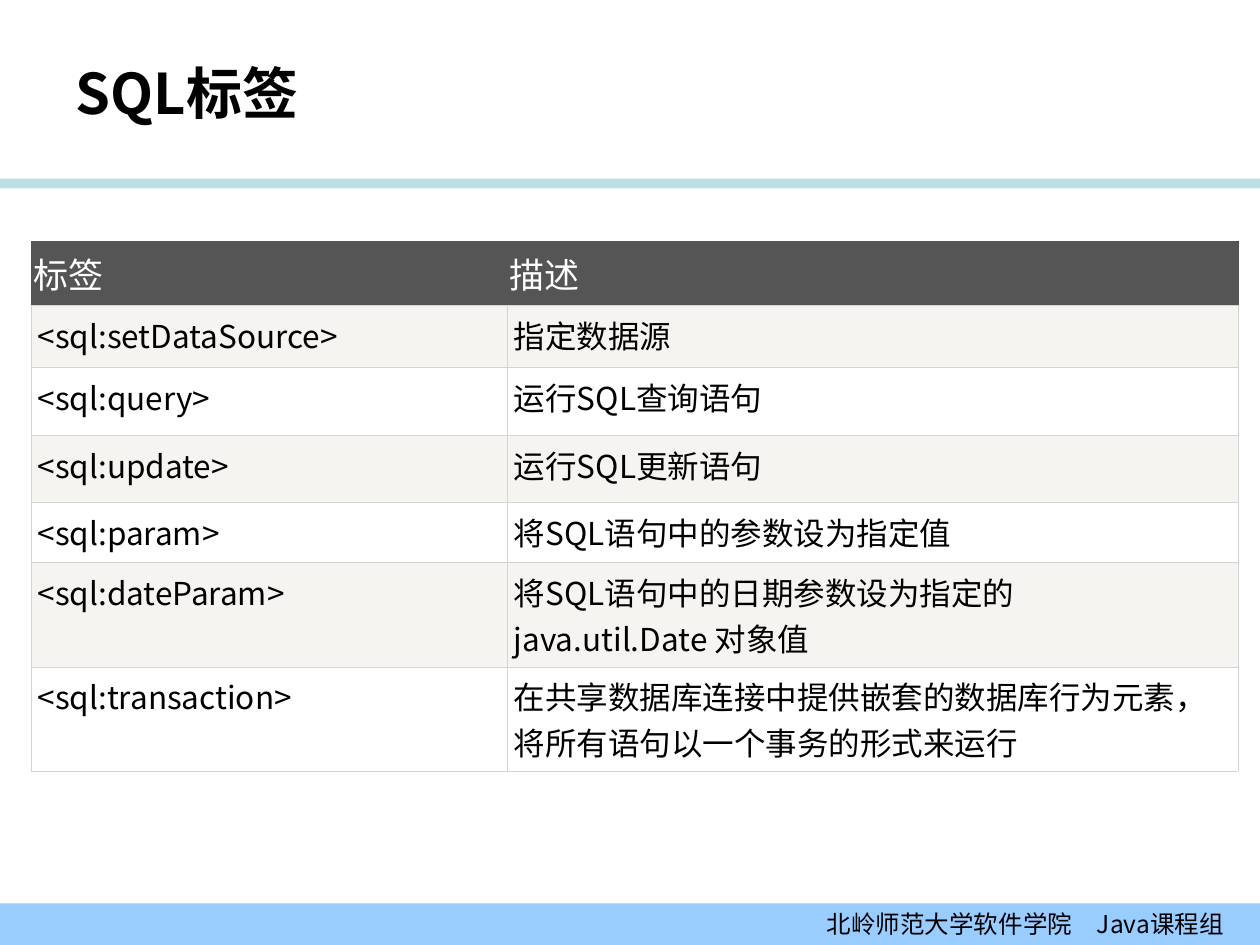
from typing import NamedTuple

from lxml.etree import SubElement
from pptx import Presentation
from pptx.dml.color import RGBColor
from pptx.enum.shapes import MSO_SHAPE as Preset
from pptx.enum.text import MSO_ANCHOR as Anchor, MSO_AUTO_SIZE as AutoSize, PP_ALIGN as Align
from pptx.oxml.ns import qn
from pptx.util import Cm, Pt

FONT = "Noto Sans CJK SC"
BLACK = RGBColor(0x00, 0x00, 0x00)
WHITE = RGBColor(0xFF, 0xFF, 0xFF)
DARK_GREY = RGBColor(0x55, 0x55, 0x55)
BORDER_GREY = RGBColor(0xD4, 0xD4, 0xD4)
WARM_GREY = RGBColor(0xF6, 0xF4, 0xF0)
TEAL = RGBColor(0xBB, 0xE0, 0xE3)
LIGHT_BLUE = RGBColor(0x99, 0xCC, 0xFF)
SLIDE_WIDTH, SLIDE_HEIGHT = Cm(25.4), Cm(19.05)
COLUMN_WIDTHS = (Cm(9.6), Cm(14.73))


class TagRow(NamedTuple):
    """One row of the tag table."""
    tag: str
    description: str
    height: Cm


class CellStyle(NamedTuple):
    """Look of the cells in one row."""
    fill: RGBColor
    text: RGBColor
    size: int
    side_margin: Cm
    edges: dict[str, RGBColor]


ROWS = (
    TagRow("标签", "描述", Cm(1.04)),
    TagRow("<sql:setDataSource>", "指定数据源", Cm(1.25)),
    TagRow("<sql:query>", "运行SQL查询语句", Cm(1.38)),
    TagRow("<sql:update>", "运行SQL更新语句", Cm(1.34)),
    TagRow("<sql:param>", "将SQL语句中的参数设为指定值", Cm(1.22)),
    TagRow("<sql:dateParam>", "将SQL语句中的日期参数设为指定的java.util.Date\u00a0对象值", Cm(1.9)),
    TagRow("<sql:transaction>",
           "在共享数据库连接中提供嵌套的数据库行为元素，将所有语句以一个事务的形式来运行", Cm(1.9)),
)
BODY_EDGES = dict.fromkeys(("a:lnL", "a:lnR", "a:lnT", "a:lnB"), BORDER_GREY)
HEADER_EDGES = dict.fromkeys(BODY_EDGES, DARK_GREY) | {"a:lnB": BORDER_GREY}
HEADER = CellStyle(DARK_GREY, WHITE, 20, Cm(0.05), HEADER_EDGES)
ODD = CellStyle(WARM_GREY, BLACK, 18, Cm(0.13), BODY_EDGES)
EVEN = CellStyle(WHITE, BLACK, 18, Cm(0.13), BODY_EDGES)


def add_run(paragraph, text: str, size: int, color: RGBColor, bold: bool = False) -> None:
    """Add a run in the slide font, for Latin and Chinese characters alike."""
    run = paragraph.add_run()
    run.text = text
    run.font.name = FONT
    run.font.size = Pt(size)
    run.font.bold = bold
    run.font.color.rgb = color
    SubElement(run._r.get_or_add_rPr(), qn("a:ea"), typeface=FONT)


def add_bar(slide, top: Cm, height: Cm, color: RGBColor):
    """Add a plain bar across the whole slide."""
    bar = slide.shapes.add_shape(Preset.RECTANGLE, 0, top, SLIDE_WIDTH, height)
    bar.shadow.inherit = False
    bar.fill.solid()
    bar.fill.fore_color.rgb = color
    bar.line.fill.background()
    return bar


def add_footer(slide) -> None:
    """Add the bottom bar with the course team's name."""
    height = Cm(0.84)
    frame = add_bar(slide, SLIDE_HEIGHT - height, height, LIGHT_BLUE).text_frame
    frame.margin_top = frame.margin_bottom = Cm(0.13)
    frame.margin_right = Cm(0.73)
    frame.vertical_anchor = Anchor.MIDDLE
    paragraph = frame.paragraphs[0]
    paragraph.alignment = Align.RIGHT
    add_run(paragraph, "北岭师范大学软件学院　Java课程组", 14, BLACK)


def format_title(slide) -> None:
    """Place the title and write its text."""
    title = slide.shapes.title
    title.left, title.top, title.width, title.height = Cm(1.27), Cm(0.76), Cm(20.32), Cm(2.21)
    frame = title.text_frame
    frame.auto_size = AutoSize.NONE
    frame.vertical_anchor = Anchor.MIDDLE
    frame.paragraphs[0].alignment = Align.LEFT
    add_run(frame.paragraphs[0], "SQL标签", 32, BLACK, bold=True)


def fill_cell(cell, text: str, style: CellStyle) -> None:
    """Write and format one table cell."""
    cell.margin_left = cell.margin_right = style.side_margin
    cell.margin_top = cell.margin_bottom = Cm(0.13)
    properties = cell._tc.get_or_add_tcPr()
    for edge, color in style.edges.items():
        line = SubElement(properties, qn(edge), w=str(Pt(0.34)))
        SubElement(SubElement(line, qn("a:solidFill")), qn("a:srgbClr"), val=str(color))
    cell.fill.solid()
    cell.fill.fore_color.rgb = style.fill
    add_run(cell.text_frame.paragraphs[0], text, style.size, style.text)


def add_tag_table(slide) -> None:
    """Add the table of tags with a dark header and alternating rows."""
    table = slide.shapes.add_table(
        len(ROWS), len(COLUMN_WIDTHS), Cm(0.63), Cm(4.87),
        sum(COLUMN_WIDTHS), sum(row.height for row in ROWS)).table
    table.horz_banding = False
    for column, width in zip(table.columns, COLUMN_WIDTHS):
        column.width = width
    for index, row in enumerate(ROWS):
        table.rows[index].height = row.height
        style = HEADER if index == 0 else ODD if index % 2 else EVEN
        for column_index, text in enumerate((row.tag, row.description)):
            fill_cell(table.cell(index, column_index), text, style)


def main() -> None:
    """Build and save the slide."""
    presentation = Presentation()
    presentation.slide_width, presentation.slide_height = SLIDE_WIDTH, SLIDE_HEIGHT
    slide = presentation.slides.add_slide(presentation.slide_layouts[5])
    add_bar(slide, Cm(3.6), Cm(0.2), TEAL)
    add_footer(slide)
    format_title(slide)
    add_tag_table(slide)
    presentation.save("out.pptx")


main()
